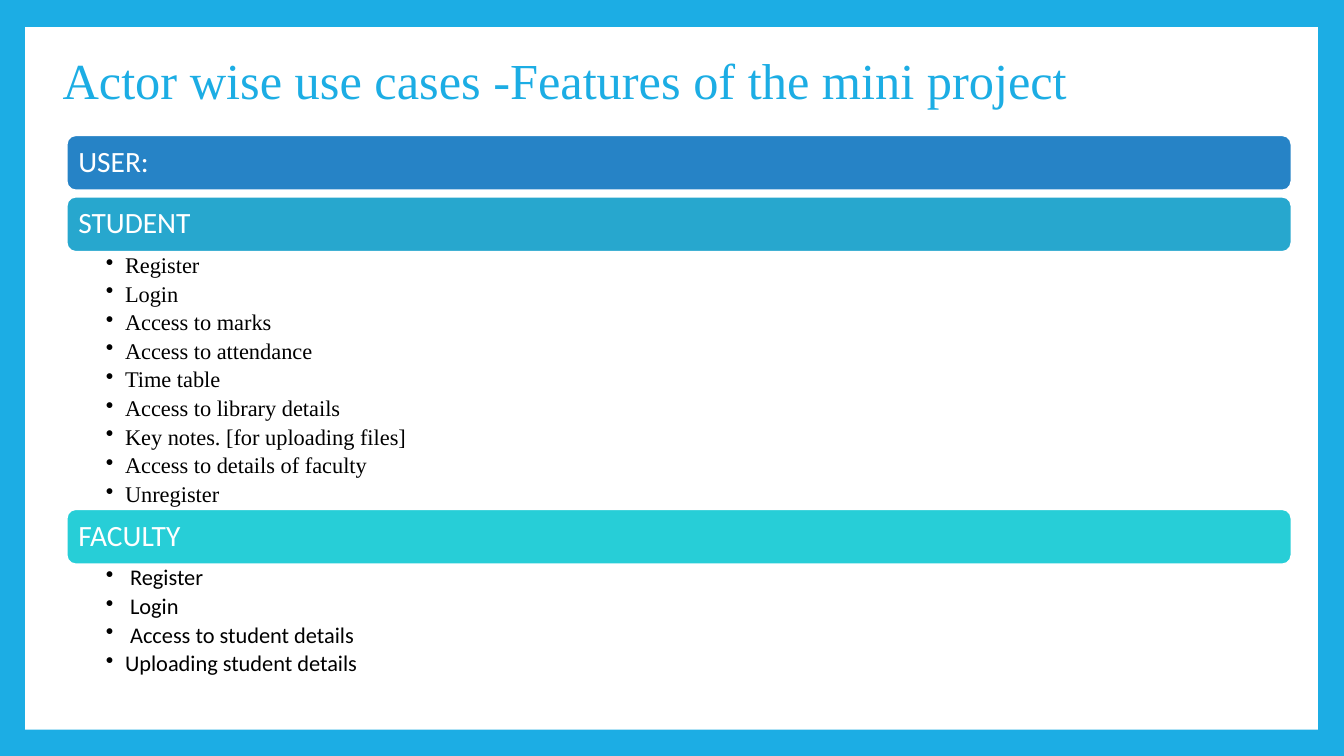
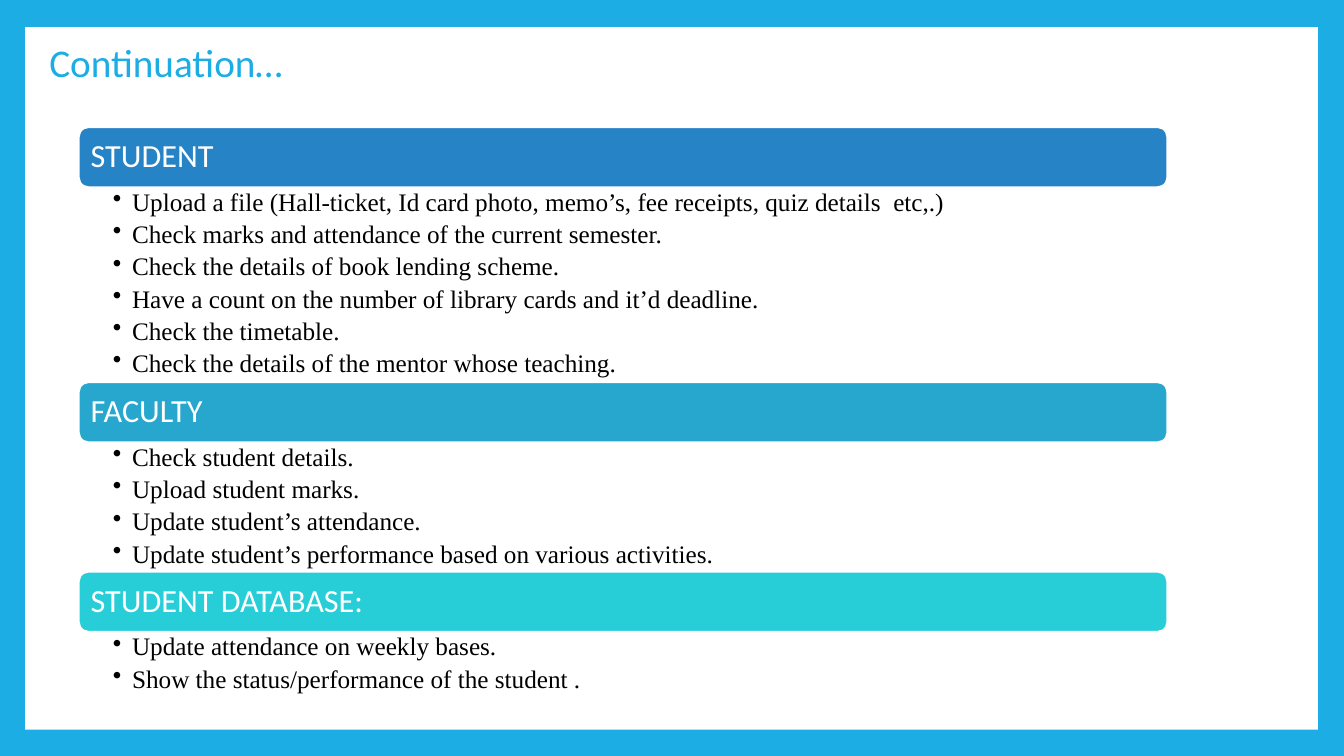
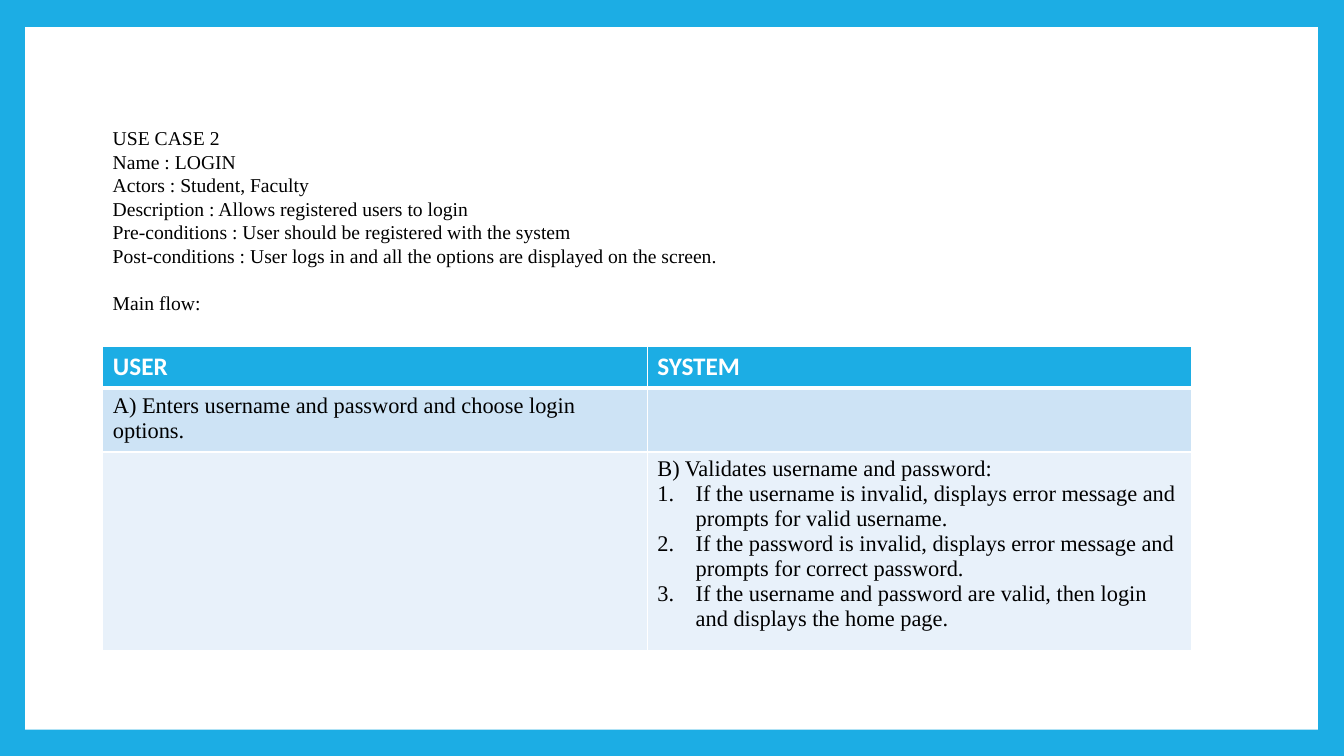
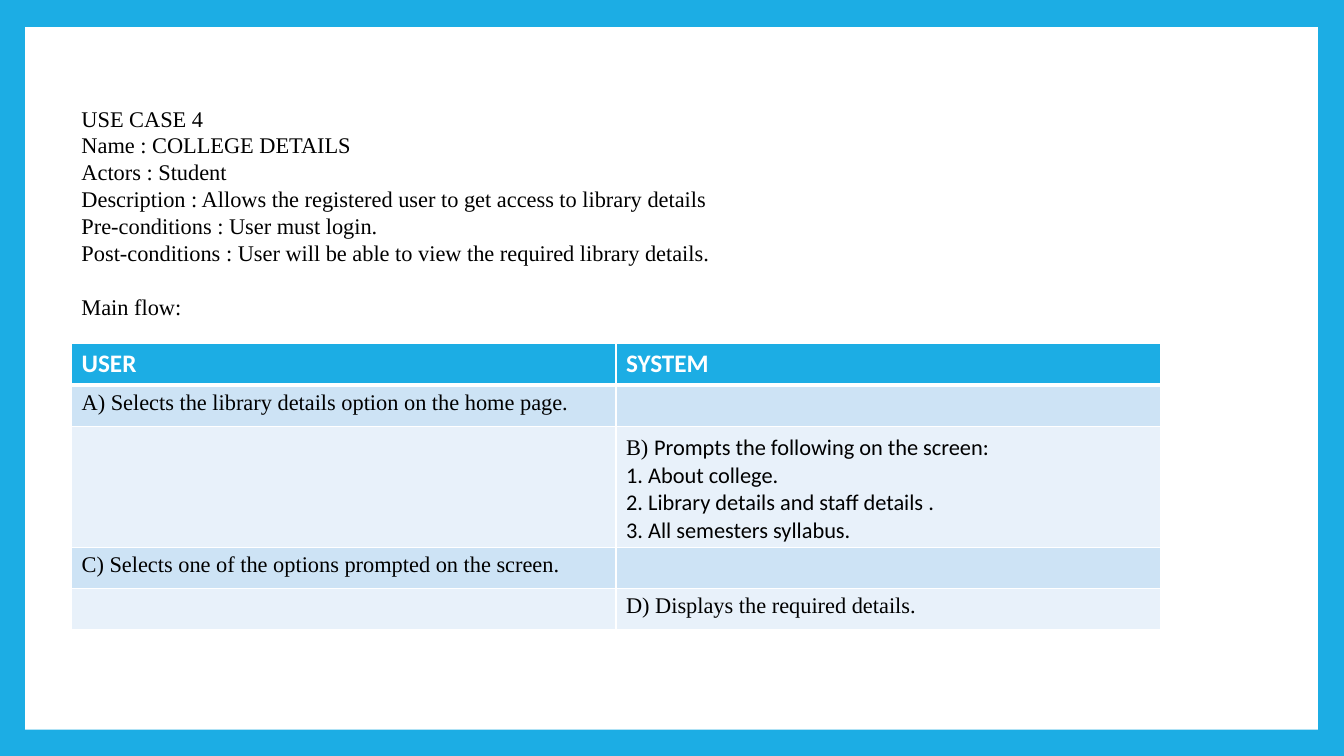
from lxml import etree
from pptx import Presentation
from pptx.dml.color import RGBColor
from pptx.enum.shapes import MSO_SHAPE
from pptx.enum.text import MSO_ANCHOR, PP_ALIGN
from pptx.oxml.ns import qn
from pptx.util import Inches, Pt

RECTANGLE, ROUNDED = MSO_SHAPE.RECTANGLE, MSO_SHAPE.ROUNDED_RECTANGLE
TOP, MIDDLE, LEFT = MSO_ANCHOR.TOP, MSO_ANCHOR.MIDDLE, PP_ALIGN.LEFT
TITLE_ONLY, BLANK = 5, 6
ACCENT, WHITE, BLACK = "1CADE4", "FFFFFF", "000000"
BAR_FILLS = ("2683C6", "27A7CE", "27CED7")
ROW_FILLS = ("CDE3F5", "E8F1FA")
SANS, SERIF = "Calibri", "Times New Roman"
COLUMN_WIDTH, ROW_HEIGHT = 5.4, 0.41

ROLE_BARS = [
    (1.34, "USER:", SANS, []),
    (1.95, "STUDENT", SERIF, [
        "Register", "Login", "Access to marks", "Access to attendance",
        "Time table", "Access to library details",
        "Key notes. [for uploading files]", "Access to details of faculty",
        "Unregister"]),
    (5.05, "FACULTY", SANS, [
        " Register", " Login", " Access to student details",
        "Uploading student details"]),
]
TASK_BARS = [
    (1.26, "STUDENT", SERIF, [
        "Upload a file (Hall-ticket, Id card photo, memo’s, fee receipts, "
        "quiz details  etc,.)",
        "Check marks and attendance of the current semester.",
        "Check the details of book lending scheme.",
        "Have a count on the number of library cards and it’d deadline.",
        "Check the timetable.",
        "Check the details of the mentor whose teaching."]),
    (3.79, "FACULTY", SERIF, [
        "Check student details.", "Upload student marks.",
        "Update student’s attendance.",
        "Update student’s performance based on various activities."]),
    (5.67, "STUDENT DATABASE:", SERIF, [
        "Update attendance on weekly bases.",
        "Show the status/performance of the student ."]),
]
LOGIN_FACTS = [
    "USE CASE 2", "Name : LOGIN", "Actors : Student, Faculty",
    "Description : Allows registered users to login",
    "Pre-conditions : User should be registered with the system",
    "Post-conditions : User logs in and all the options are displayed "
    "on the screen."]
COLLEGE_FACTS = [
    "USE CASE 4", "Name : COLLEGE DETAILS", "Actors : Student",
    "Description : Allows the registered user to get access to library details",
    "Pre-conditions : User must login.",
    "Post-conditions : User will be able to view the required library details."]
LOGIN_STEPS = [
    (0, [{"text": "A) Enters username and password and choose login options."}]),
    (1, [
        {"text": "B) Validates username and password:"},
        {"text": "If the username is invalid, displays error message and "
                 "prompts for valid username.", "numbered": True},
        {"text": "If the password is invalid, displays error message and "
                 "prompts for correct password.", "numbered": True},
        {"text": "If the username and password are valid, then login and "
                 "displays the home page.", "numbered": True}]),
]
COLLEGE_STEPS = [
    (0, [{"text": "A) Selects the library details option on the home page."}]),
    (1, [
        {"text": [("B)", SERIF, 16), (" ", SANS, 18),
                  ("Prompts the following on the screen:", SANS, 16)]},
        {"text": "1. About college.", "font": SANS},
        {"text": "2. Library details and staff details .", "font": SANS},
        {"text": "3. All semesters syllabus.", "font": SANS}]),
    (0, [{"text": "C) Selects one of the options prompted on the screen."}]),
    (1, [{"text": "D) Displays the required details."}]),
]


def rgb(code):
    """Turn a hex string into a colour."""
    return RGBColor.from_string(code)


def paint(shape, fill, line=None, width=1.5):
    """Give a shape a flat fill and an optional outline."""
    shape.shadow.inherit = False
    shape.fill.solid()
    shape.fill.fore_color.rgb = rgb(fill)
    if line:
        shape.line.color.rgb = rgb(line)
        shape.line.width = Pt(width)
    else:
        shape.line.fill.background()


def set_frame(frame, anchor=TOP, insets=(0.1, 0.05, 0.1, 0.05)):
    """Set wrapping, anchor and insets of a text frame."""
    frame.word_wrap = True
    frame.vertical_anchor = anchor
    (frame.margin_left, frame.margin_top,
     frame.margin_right, frame.margin_bottom) = map(Inches, insets)


def set_marker(para, indent, tag, **attributes):
    """Add a hanging bullet or number to a paragraph."""
    properties = para._p.get_or_add_pPr()
    properties.set("marL", str(Inches(indent)))
    properties.set("indent", str(-Inches(indent)))
    etree.SubElement(properties, qn(tag), **attributes)


def write(frame, text, font=SERIF, size=16, color=BLACK, bold=False, spacing=None,
          before=0, after=0, bullet=False, numbered=False):
    """Write one paragraph, given as text or as (text, font, size) spans."""
    para = frame.paragraphs[0]
    if para.runs:
        para = frame.add_paragraph()
    para.alignment = LEFT
    para.space_before, para.space_after = Pt(before), Pt(after)
    if spacing:
        para.line_spacing = spacing
    spans = [(text, font, size)] if isinstance(text, str) else text
    for words, span_font, span_size in spans:
        span = para.add_run()
        span.text = words
        span.font.name, span.font.size = span_font, Pt(span_size)
        span.font.bold = bold
        span.font.color.rgb = rgb(color)
    if bullet:
        set_marker(para, 0.19, "a:buChar", char="•")
    if numbered:
        set_marker(para, 0.38, "a:buAutoNum", type="arabicPeriod")


def add_page(deck, layout):
    """Add a page with the white panel inside the coloured border."""
    page = deck.slides.add_slide(deck.slide_layouts[layout])
    panel = page.shapes.add_shape(
        RECTANGLE, Inches(0.25), Inches(0.27), Inches(12.82), Inches(6.97))
    paint(panel, WHITE)
    tree = panel.element.getparent()
    tree.insert(2, panel.element)
    return page


def add_title(page, text, left, top, height, font, size):
    """Place and format the title placeholder."""
    title = page.shapes.title
    title.left, title.top = Inches(left), Inches(top)
    title.width, title.height = Inches(10.8), Inches(height)
    set_frame(title.text_frame, MIDDLE)
    write(title.text_frame, text, font, size, ACCENT, spacing=0.9)


def add_bars(page, bars, left, width, height, heading_size, size, indent, pitch):
    """Stack heading bars, each with its bullet list below."""
    for (top, heading, font, items), fill in zip(bars, BAR_FILLS):
        bar = page.shapes.add_shape(
            ROUNDED, Inches(left), Inches(top), Inches(width), Inches(height))
        paint(bar, fill, WHITE)
        set_frame(bar.text_frame, MIDDLE, (0.09, 0.05, 0.09, 0.05))
        write(bar.text_frame, heading, SANS, heading_size, WHITE, spacing=0.9)
        if not items:
            continue
        box = page.shapes.add_textbox(
            Inches(left), Inches(top + height), Inches(width), Inches(pitch * len(items)))
        set_frame(box.text_frame, insets=(indent, 0.02, 0.12, 0.02))
        for item in items:
            write(box.text_frame, item, font, size, spacing=0.9, after=0.2 * size,
                  bullet=True)


def add_facts(page, facts, left, top, width, height, size):
    """List the facts of a use case and the lead-in to its table."""
    box = page.shapes.add_textbox(Inches(left), Inches(top), Inches(width), Inches(height))
    set_frame(box.text_frame)
    for fact in facts:
        write(box.text_frame, fact, size=size)
    write(box.text_frame, "Main flow:", size=size, before=1.2 * size)


def format_cell(cell, fill, top=1, bottom=1):
    """Fill a cell and draw its white borders."""
    cell.fill.solid()
    cell.fill.fore_color.rgb = rgb(fill)
    properties = cell._tc.get_or_add_tcPr()
    widths = {"a:lnL": 1, "a:lnR": 1, "a:lnT": top, "a:lnB": bottom}
    for index, (tag, width) in enumerate(widths.items()):
        line = etree.Element(qn(tag), w=str(Pt(width)))
        solid = etree.SubElement(line, qn("a:solidFill"))
        etree.SubElement(solid, qn("a:srgbClr"), val=WHITE)
        properties.insert(index, line)


def add_flow(page, steps, left, top):
    """Add the table of user and system steps, whose rows grow with their text."""
    count = len(steps) + 1
    table = page.shapes.add_table(
        count, 2, Inches(left), Inches(top),
        Inches(2 * COLUMN_WIDTH), Inches(count * ROW_HEIGHT)).table
    for column, heading in enumerate(("USER", "SYSTEM")):
        cell = table.cell(0, column)
        format_cell(cell, ACCENT, bottom=3)
        write(cell.text_frame, heading, SANS, 18, WHITE, bold=True)
    for index, (actor, lines) in enumerate(steps):
        for column in range(2):
            format_cell(table.cell(index + 1, column), ROW_FILLS[index % 2],
                        top=1 if index else 3)
        for line in lines:
            write(table.cell(index + 1, actor).text_frame, **line)


def main():
    """Build the deck."""
    deck = Presentation()
    deck.slide_width, deck.slide_height = Inches(13.33), Inches(7.5)
    background = deck.slide_master.background.fill
    background.solid()
    background.fore_color.rgb = rgb(ACCENT)

    page = add_page(deck, TITLE_ONLY)
    add_title(page, "Actor wise use cases -Features of the mini project",
              0.52, 0.09, 1.48, SERIF, 36)
    add_bars(page, ROLE_BARS, left=0.66, width=12.15, height=0.55,
             heading_size=21, size=16, indent=0.39, pitch=0.28)

    page = add_page(deck, TITLE_ONLY)
    add_title(page, "Continuation…", 0.39, 0.32, 0.65, SANS, 28)
    add_bars(page, TASK_BARS, left=0.78, width=10.8, height=0.6,
             heading_size=23, size=18, indent=0.34, pitch=0.32)

    page = add_page(deck, BLANK)
    add_flow(page, LOGIN_STEPS, 1.02, 3.44)
    add_facts(page, LOGIN_FACTS, 1.02, 1.2, 10.34, 2.29, 14)

    page = add_page(deck, BLANK)
    add_flow(page, COLLEGE_STEPS, 0.71, 3.41)
    add_facts(page, COLLEGE_FACTS, 0.71, 0.99, 8.65, 2.26, 16)

    deck.save("out.pptx")


if __name__ == "__main__":
    main()
